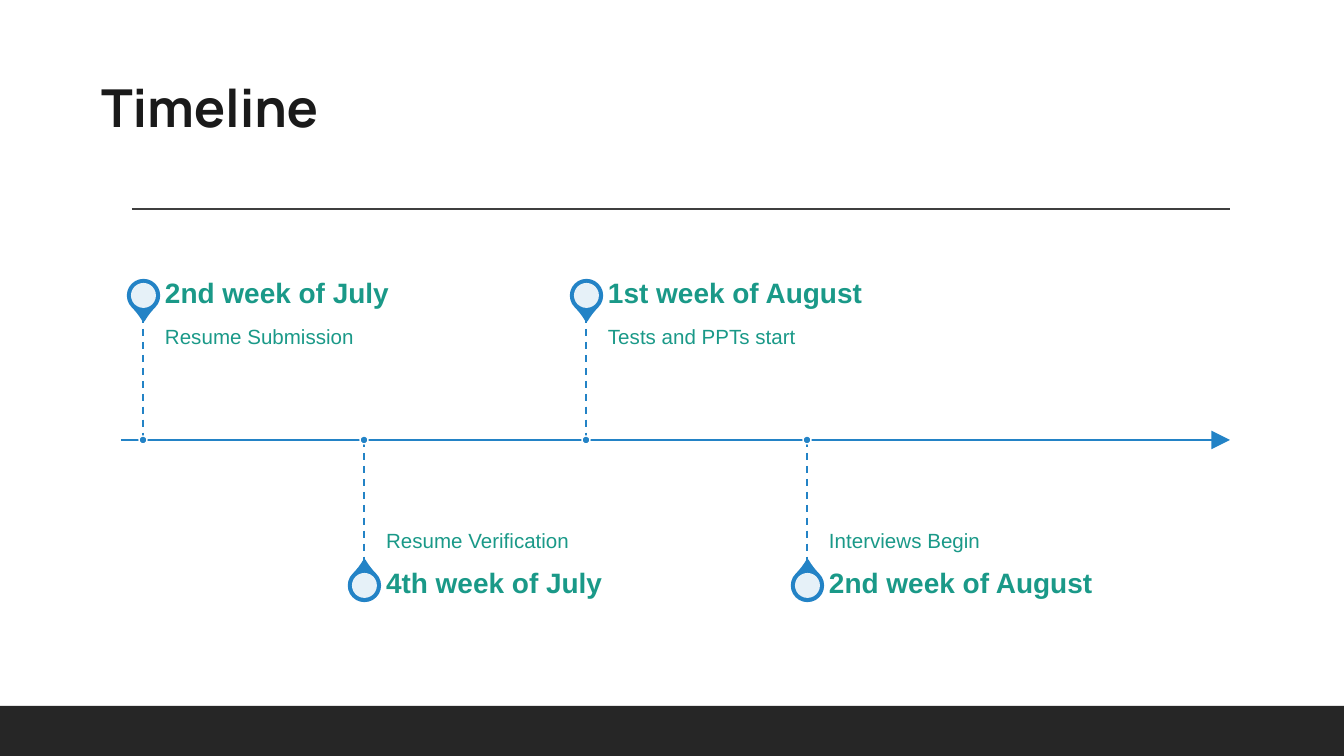
from dataclasses import dataclass
from pptx import Presentation
from pptx.dml.color import RGBColor
from pptx.enum.dml import MSO_LINE
from pptx.enum.shapes import MSO_CONNECTOR, MSO_SHAPE
from pptx.enum.text import MSO_ANCHOR, MSO_AUTO_SIZE, PP_ALIGN
from pptx.oxml.ns import qn
from pptx.util import Pt
from lxml import etree

LINE = MSO_CONNECTOR.STRAIGHT
RECT, OVAL, DROP = MSO_SHAPE.RECTANGLE, MSO_SHAPE.OVAL, MSO_SHAPE.TEAR
TOP, MID, BASE = MSO_ANCHOR.TOP, MSO_ANCHOR.MIDDLE, MSO_ANCHOR.BOTTOM
DASH = MSO_LINE.DASH
LEFT = PP_ALIGN.LEFT
FIXED = MSO_AUTO_SIZE.NONE
PX = 914400 / 134.4


@dataclass
class Theme:
    ink: str = "1A1A1A"
    rule: str = "3F3F3F"
    bar: str = "262626"
    blue: str = "2383C6"
    teal: str = "1A9988"
    white: str = "FFFFFF"
    title: int = 28
    head: int = 15
    body: int = 11


theme = Theme()
deck = Presentation()
deck.slide_width, deck.slide_height = round(1344 * PX), round(756 * PX)
slide = deck.slides.add_slide(deck.slide_layouts[5])
shapes = slide.shapes


def write(box, text, place, pad, anchor, font, size, color, bold):
    box.left, box.top, box.width, box.height = [round(n * PX) for n in place]
    frame = box.text_frame
    frame.text = text
    frame.word_wrap = True
    frame.auto_size = FIXED
    frame.vertical_anchor = anchor
    (frame.margin_left, frame.margin_top,
     frame.margin_right, frame.margin_bottom) = [round(n * PX) for n in pad]
    para = frame.paragraphs[0]
    para.alignment = LEFT
    para.line_spacing = 0.9
    face = para.runs[0].font
    face.name, face.size, face.bold = font, Pt(size), bold
    face.color.rgb = RGBColor.from_string(color)


def draw(kind, place, fill=None, edge=None, width=1):
    spots = [round(n * PX) for n in place]
    if kind is LINE:
        item = shapes.add_connector(kind, *spots)
        etree.SubElement(item._element.spPr, qn("a:effectLst"))
    else:
        item = shapes.add_shape(kind, *spots)
        item.shadow.inherit = False
        item.fill.solid()
        item.fill.fore_color.rgb = RGBColor.from_string(fill)
    if edge:
        item.line.color.rgb = RGBColor.from_string(edge)
        item.line.width = Pt(width)
    else:
        item.line.fill.background()
    return item


write(shapes.title, "Timeline", (91, 24, 832, 120), (10, 5, 10, 5),
      BASE, "Manrope", theme.title, theme.ink, True)
draw(LINE, (132, 209, 1230, 209), edge=theme.rule)
draw(RECT, (0, 706, 1344, 50), theme.bar)

axis = 440
arrow = draw(LINE, (121, axis, 1230, axis), edge=theme.blue, width=1.5)
etree.SubElement(arrow.line._get_or_add_ln(), qn("a:tailEnd"),
                 type="triangle", w="lg", len="lg")

steps = [
    ("2nd week of July", "Resume Submission"),
    ("4th week of July", "Resume Verification"),
    ("1st week of August", "Tests and PPTs start"),
    ("2nd week of August", "Interviews Begin"),
]
for i, (date, event) in enumerate(steps):
    x = round(143 + i * 664 / 3)
    above = i % 2 == 0
    side = -1 if above else 1
    mid = axis + side * 145
    end = axis + side * 124

    pin = draw(DROP, (x - 15, mid - 15, 31, 31), theme.blue, theme.blue, 1.25)
    pin.adjustments[0] = 1.15
    pin.rotation = 135 if above else 315
    hole = draw(OVAL, (x - 12, mid - 12, 25, 25), theme.white)
    tint = hole._element.spPr.find(qn("a:solidFill"))[0]
    etree.SubElement(tint, qn("a:alpha"), val="89000")

    write(shapes.add_textbox(0, 0, 0, 0), event,
          (x + 22, min(axis, end), 368, 124),
          (0, 11, 11, 16) if above else (0, 16, 0, 11),
          TOP if above else BASE, "Arial", theme.body, theme.teal, False)
    write(shapes.add_textbox(0, 0, 0, 0), date,
          (x + 22, mid - 22, 368, 44), (0, 0, 13, 0),
          MID, "Arial", theme.head, theme.teal, True)

    ends = (end, axis) if above else (axis, end)
    stem = draw(LINE, (x, ends[0], x, ends[1]), edge=theme.blue)
    stem.line.dash_style = DASH
    draw(OVAL, (x - 4, axis - 4, 8, 8), theme.blue, theme.white, 0.75)

deck.save("out.pptx")
